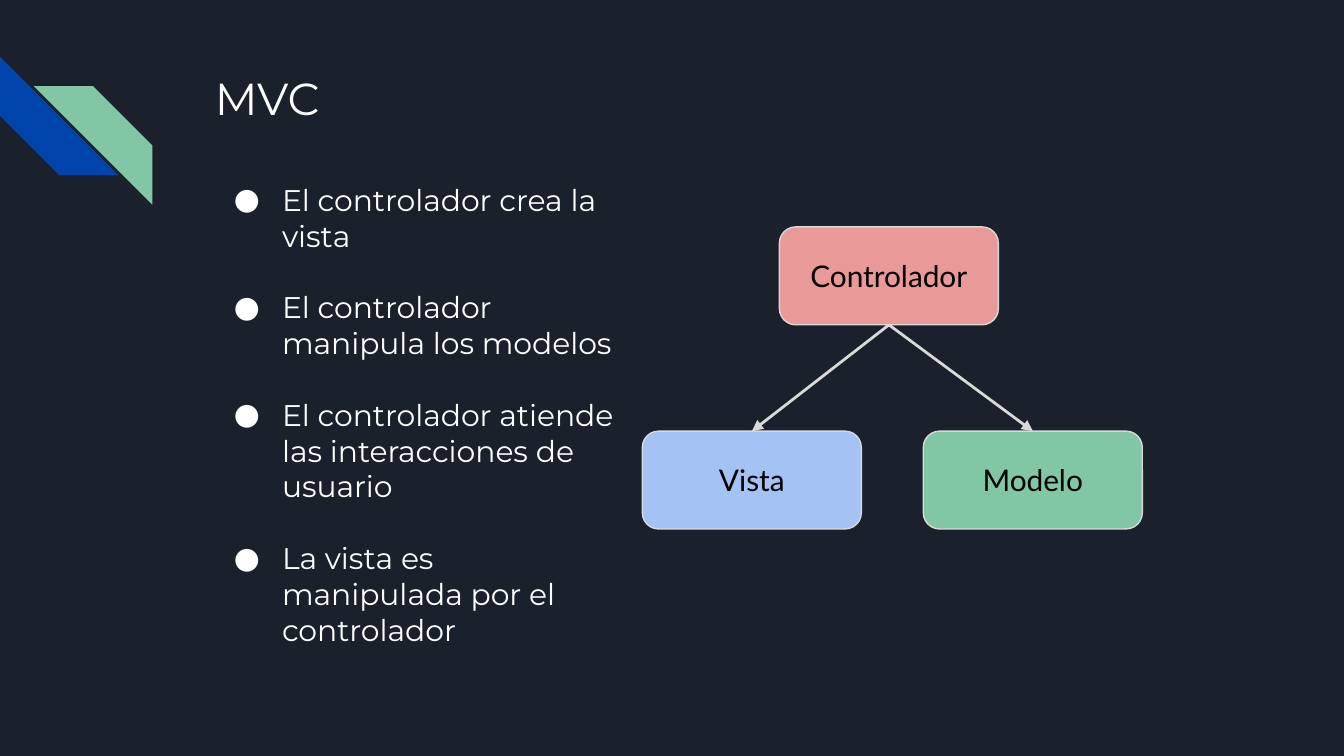
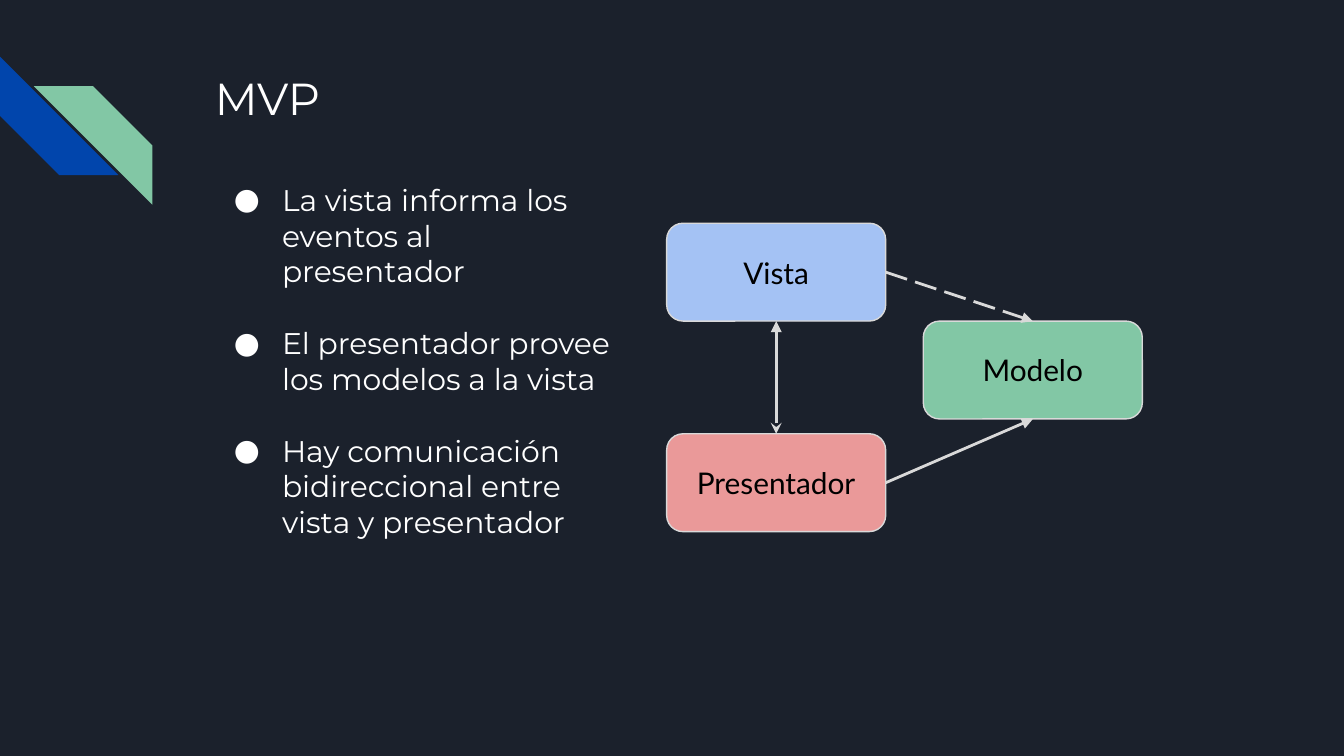
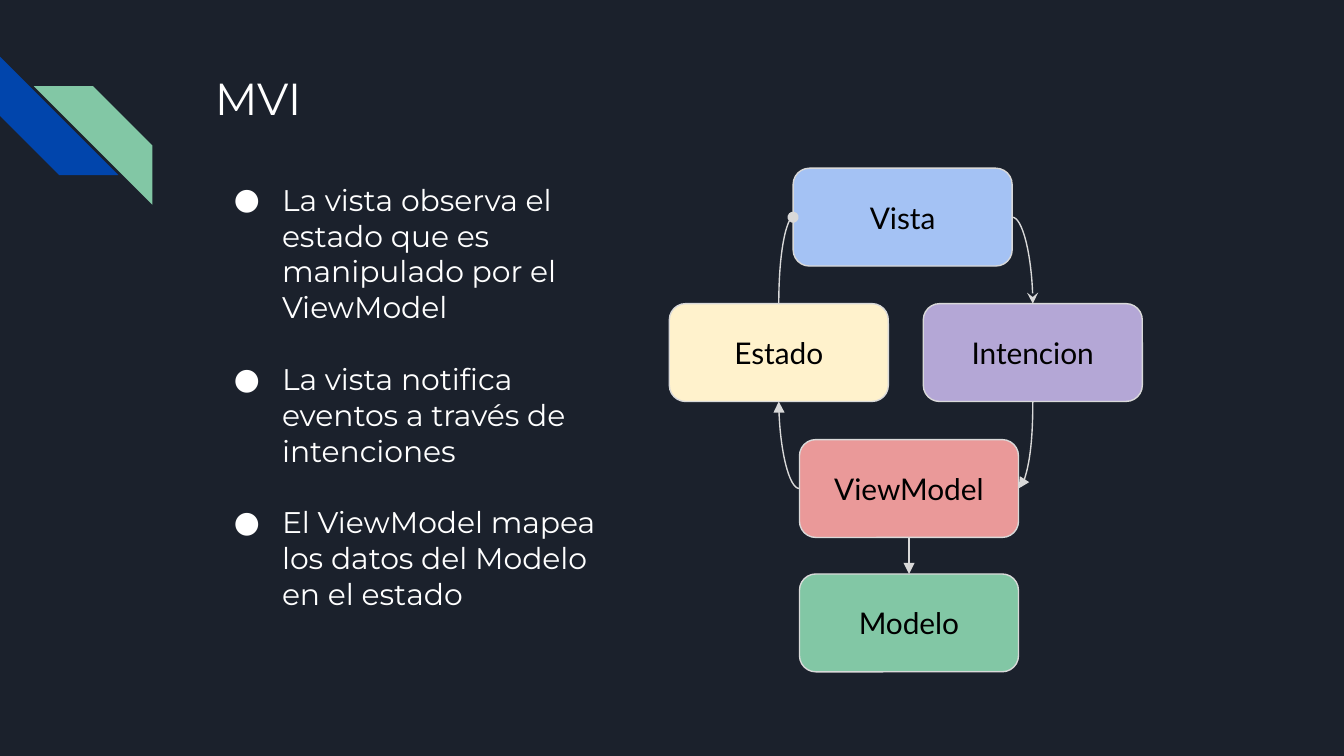
from dataclasses import dataclass

from lxml.etree import SubElement as Sub
from pptx import Presentation
from pptx.dml.color import RGBColor as Rgb
from pptx.enum.dml import MSO_LINE as Dash
from pptx.enum.shapes import MSO_CONNECTOR as Link, MSO_SHAPE as Form
from pptx.enum.text import MSO_ANCHOR as Anchor, MSO_AUTO_SIZE as Fit, PP_ALIGN as Align
from pptx.oxml.ns import qn
from pptx.util import Cm, Pt

TOP, LEFT, BASE, RIGHT = range(4)


@dataclass(frozen=True)
class Theme:
    back: str = "1B212C"
    text: str = "FFFFFF"
    ink: str = "000000"
    edge: str = "D9D9D9"
    blue: str = "0145AC"
    green: str = "82C7A5"
    sky: str = "A4C2F4"
    rose: str = "EA9999"
    plum: str = "B4A7D6"
    cream: str = "FFF2CC"
    head: str = "Montserrat"
    label: str = "Lato"
    big: float = 24
    mid: float = 16
    gap: float = 19.2
    thin: float = 0.75
    bold: float = 1.5


class Deck:
    """Hold the theme and the current slide, and add each kind of element."""

    def __init__(self, theme):
        self.theme = theme
        self.prs = Presentation()
        self.prs.slide_width, self.prs.slide_height = Cm(25.4), Cm(14.29)
        self.paint(self.prs.slide_master.background.fill, theme.back)

    def paint(self, fill, color):
        fill.solid()
        fill.fore_color.rgb = Rgb.from_string(color)

    def place(self, shape, x, y, w, h):
        shape.left, shape.top, shape.width, shape.height = Cm(x), Cm(y), Cm(w), Cm(h)

    def add_text(self, para, text, size, font, color):
        run = para.add_run()
        run.text = text
        run.font.size = Pt(size)
        run.font.name = font
        run.font.color.rgb = Rgb.from_string(color)

    def frame(self, shape, anchor, fit=Fit.NONE):
        frame = shape.text_frame
        frame.word_wrap = True
        frame.auto_size = fit
        frame.vertical_anchor = anchor
        frame.margin_left = frame.margin_right = Cm(0.25)
        frame.margin_top = frame.margin_bottom = Cm(0.25)
        return frame

    def page(self, title, items, height):
        self.slide = self.prs.slides.add_slide(self.prs.slide_layouts[1])
        head, body = self.slide.placeholders
        self.place(head, 3.81, 1.09, 17.78, 2.08)
        para = self.frame(head, Anchor.TOP).paragraphs[0]
        para.alignment = Align.LEFT
        self.add_text(para, title, self.theme.big, self.theme.head, self.theme.text)
        self.place(body, 3.81, 3.18, 8.1, height)
        frame = self.frame(body, Anchor.TOP, Fit.SHAPE_TO_FIT_TEXT)
        for n, item in enumerate(items):
            para = frame.add_paragraph() if n else frame.paragraphs[0]
            para.space_before = Pt(self.theme.gap if n else 0)
            self.bullet(para)
            self.add_text(para, item, self.theme.mid, self.theme.head, self.theme.text)

    def bullet(self, para):
        props = para._p.get_or_add_pPr()
        props.set("marL", str(Cm(1.27)))
        props.set("indent", str(Cm(-0.91)))
        Sub(Sub(props, qn("a:buClr")), qn("a:srgbClr"), val=self.theme.text)
        Sub(props, qn("a:buFont"), typeface=self.theme.head)
        Sub(props, qn("a:buChar"), char="●")

    def stripe(self, x, y, color, turn=0, flip=False):
        shape = self.slide.shapes.add_shape(Form.DIAGONAL_STRIPE, Cm(x), Cm(y), Cm(2.24), Cm(2.24))
        shape.shadow.inherit = False
        shape.rotation = turn
        if flip:
            shape.element.spPr.xfrm.set("flipH", "1")
        self.paint(shape.fill, color)
        shape.line.fill.background()
        tree = self.prs.slide_master.shapes.element
        shape.element.nvSpPr.cNvPr.set("id", str(len(tree) + 10))
        tree.append(shape.element)

    def band(self):
        self.stripe(0, 1.07, self.theme.blue, turn=270)
        self.stripe(0.64, 1.63, self.theme.green, flip=True)

    def box(self, text, x, y, color):
        shape = self.slide.shapes.add_shape(Form.ROUNDED_RECTANGLE, Cm(x), Cm(y), Cm(4.14), Cm(1.85))
        shape.shadow.inherit = False
        self.paint(shape.fill, color)
        self.paint(shape.line.fill, self.theme.edge)
        shape.line.width = Pt(self.theme.thin)
        para = self.frame(shape, Anchor.MIDDLE).paragraphs[0]
        para.alignment = Align.CENTER
        self.add_text(para, text, self.theme.mid, self.theme.label, self.theme.ink)
        return shape

    def join(self, start, out, end, into, width, head=None, tail=None, curve=False, dash=None):
        kind = Link.CURVE if curve else Link.STRAIGHT
        link = self.slide.shapes.add_connector(kind, 0, 0, 0, 0)
        link.begin_connect(start, out)
        link.end_connect(end, into)
        self.paint(link.line.fill, self.theme.edge)
        link.line.width = Pt(width)
        if dash:
            link.line.dash_style = dash
        props = link.element.spPr
        if curve:
            props.find(qn("a:prstGeom")).set("prst", "curvedConnector2")
        for tag, tip in (("a:headEnd", head), ("a:tailEnd", tail)):
            if tip:
                Sub(props.get_or_add_ln(), qn(tag), type=tip)
        Sub(props, qn("a:effectLst"))


def main():
    look = Theme()
    deck = Deck(look)

    deck.page("MVC", [
        "El controlador crea la vista",
        "El controlador manipula los modelos",
        "El controlador atiende las interacciones de usuario",
        "La vista es manipulada por el controlador",
    ], 9.4)
    deck.band()
    model = deck.box("Modelo", 17.45, 8.15, look.green)
    view = deck.box("Vista", 12.14, 8.15, look.sky)
    control = deck.box("Controlador", 14.73, 4.29, look.rose)
    for goal in (view, model):
        deck.join(control, BASE, goal, TOP, look.bold, tail="triangle")

    deck.page("MVP", [
        "La vista informa los eventos al presentador",
        "El presentador provee los modelos a la vista",
        "Hay comunicación bidireccional entre vista y presentador",
    ], 7.37)
    model = deck.box("Modelo", 17.45, 6.07, look.green)
    view = deck.box("Vista", 12.6, 4.22, look.sky)
    host = deck.box("Presentador", 12.6, 8.2, look.rose)
    deck.join(host, TOP, view, BASE, look.bold, head="stealth", tail="triangle")
    deck.join(host, RIGHT, model, BASE, look.bold, tail="triangle")
    deck.join(view, RIGHT, model, TOP, look.bold, tail="triangle", dash=Dash.LONG_DASH)

    deck.page("MVI", [
        "La vista observa el estado que es manipulado por el ViewModel",
        "La vista notifica eventos a través de intenciones",
        "El ViewModel mapea los datos del Modelo en el estado",
    ], 8.71)
    model = deck.box("Modelo", 15.11, 10.85, look.green)
    view = deck.box("Vista", 14.99, 3.18, look.sky)
    core = deck.box("ViewModel", 15.11, 8.31, look.rose)
    intent = deck.box("Intencion", 17.45, 5.74, look.plum)
    state = deck.box("Estado", 12.65, 5.74, look.cream)
    deck.join(core, BASE, model, TOP, look.thin, tail="triangle")
    deck.join(view, LEFT, state, TOP, look.thin, head="oval", curve=True)
    deck.join(view, RIGHT, intent, TOP, look.thin, tail="stealth", curve=True)
    deck.join(core, LEFT, state, BASE, look.thin, tail="triangle", curve=True)
    deck.join(core, RIGHT, intent, BASE, look.thin, head="triangle", curve=True)

    deck.prs.save("out.pptx")


if __name__ == "__main__":
    main()
